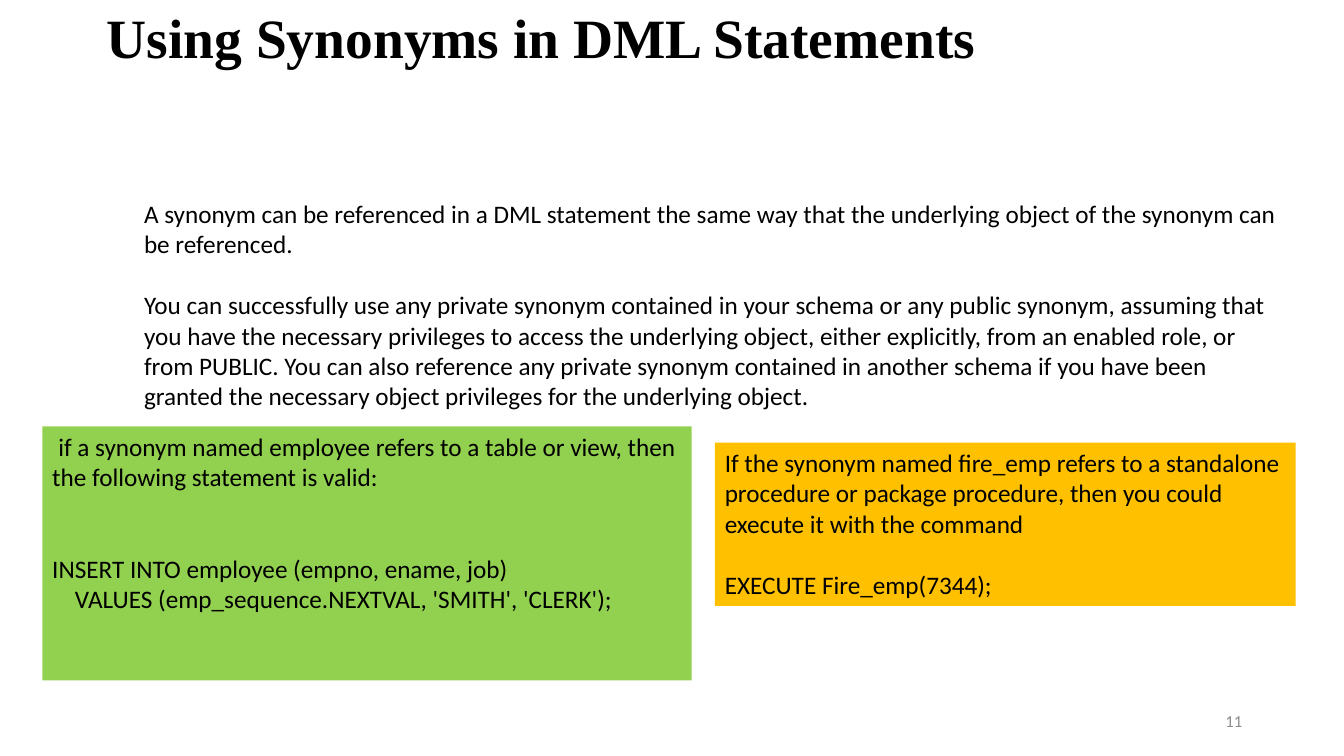
from dataclasses import dataclass

from pptx import Presentation
from pptx.dml.color import RGBColor
from pptx.enum.text import MSO_ANCHOR, PP_ALIGN
from pptx.util import Inches, Pt

TOP, MIDDLE = MSO_ANCHOR.TOP, MSO_ANCHOR.MIDDLE
LEFT, RIGHT = PP_ALIGN.LEFT, PP_ALIGN.RIGHT


@dataclass(frozen=True)
class Theme:
    title_font: str = "Times New Roman"
    body_font: str = "Calibri"
    title_size: float = 39.6
    body_size: float = 18
    number_size: float = 12
    line: float = 22  # height of one body line, in points
    text: str = "000000"
    muted: str = "8C8C8C"
    green: str = "92D050"
    amber: str = "FFC000"


THEME = Theme()


def add_text_box(s, box, anchor=TOP, fill=None):
    """Add a wrapping text box, filled if a colour is given."""
    sp = s.shapes.add_textbox(*(Inches(v) for v in box))
    if fill:
        sp.fill.solid()
        sp.fill.fore_color.rgb = RGBColor.from_string(fill)
    tf = sp.text_frame
    tf.word_wrap = True
    tf.vertical_anchor = anchor
    return tf


def style(p, font, size, color, bold=False, align=LEFT):
    p.alignment = align
    p.font.name = font
    p.font.size = Pt(size)
    p.font.bold = bold
    p.font.color.rgb = RGBColor.from_string(color)


def add_title(s, box, text):
    p = add_text_box(s, box, MIDDLE).paragraphs[0]
    p.text = text
    p.line_spacing = 0.9
    style(p, THEME.title_font, THEME.title_size, THEME.text, bold=True)


def add_passage(s, box, paragraphs, fill=None):
    """Write (text, lines of space before) pairs as body text."""
    tf = add_text_box(s, box, fill=fill)
    for i, (text, gap) in enumerate(paragraphs):
        p = tf.add_paragraph() if i else tf.paragraphs[0]
        p.text = text
        if gap:
            p.space_before = Pt(gap * THEME.line)
        style(p, THEME.body_font, THEME.body_size, THEME.text)
    return tf


def add_slide_number(s, box, number):
    p = add_text_box(s, box, MIDDLE).paragraphs[0]
    p.text = number
    style(p, THEME.body_font, THEME.number_size, THEME.muted, align=RIGHT)


def build_slide(prs):
    s = prs.slides.add_slide(prs.slide_layouts[6])

    add_title(s, (0.96, 0.03, 9.95, 0.75), "Using Synonyms in DML Statements")
    add_slide_number(s, (9.42, 6.95, 3, 0.4), "11")

    # Explanation
    add_passage(s, (1.33, 1.92, 11.51, 2.22), [
        ("A synonym can be referenced in a DML statement the same way that "
         "the underlying object of the synonym can be referenced.", 0),
        ("You can successfully use any private synonym contained in your "
         "schema or any public synonym, assuming that you have the necessary "
         "privileges to access the underlying object, either explicitly, from "
         "an enabled role, or from PUBLIC. You can also reference any private "
         "synonym contained in another schema if you have been granted the "
         "necessary object privileges for the underlying object.", 1),
    ])

    # Table or view example, its first line slightly indented
    tf = add_passage(s, (0.42, 4.23, 6.44, 2.52), [
        ("if a synonym named employee refers to a table or view, then the "
         "following statement is valid:", 0),
        ("INSERT INTO employee (empno, ename, job)", 2),
        ("    VALUES (emp_sequence.NEXTVAL, 'SMITH', 'CLERK');", 0),
    ], THEME.green)
    tf.paragraphs[0]._p.get_or_add_pPr().set("indent", str(Inches(0.06)))

    # Procedure example
    add_passage(s, (7.09, 4.39, 5.76, 1.62), [
        ("If the synonym named fire_emp refers to a standalone procedure or "
         "package procedure, then you could execute it with the command", 0),
        ("EXECUTE Fire_emp(7344);", 1),
    ], THEME.amber)


def main():
    prs = Presentation()
    prs.slide_width, prs.slide_height = Inches(13.33), Inches(7.5)
    build_slide(prs)
    prs.save("out.pptx")


if __name__ == "__main__":
    main()
